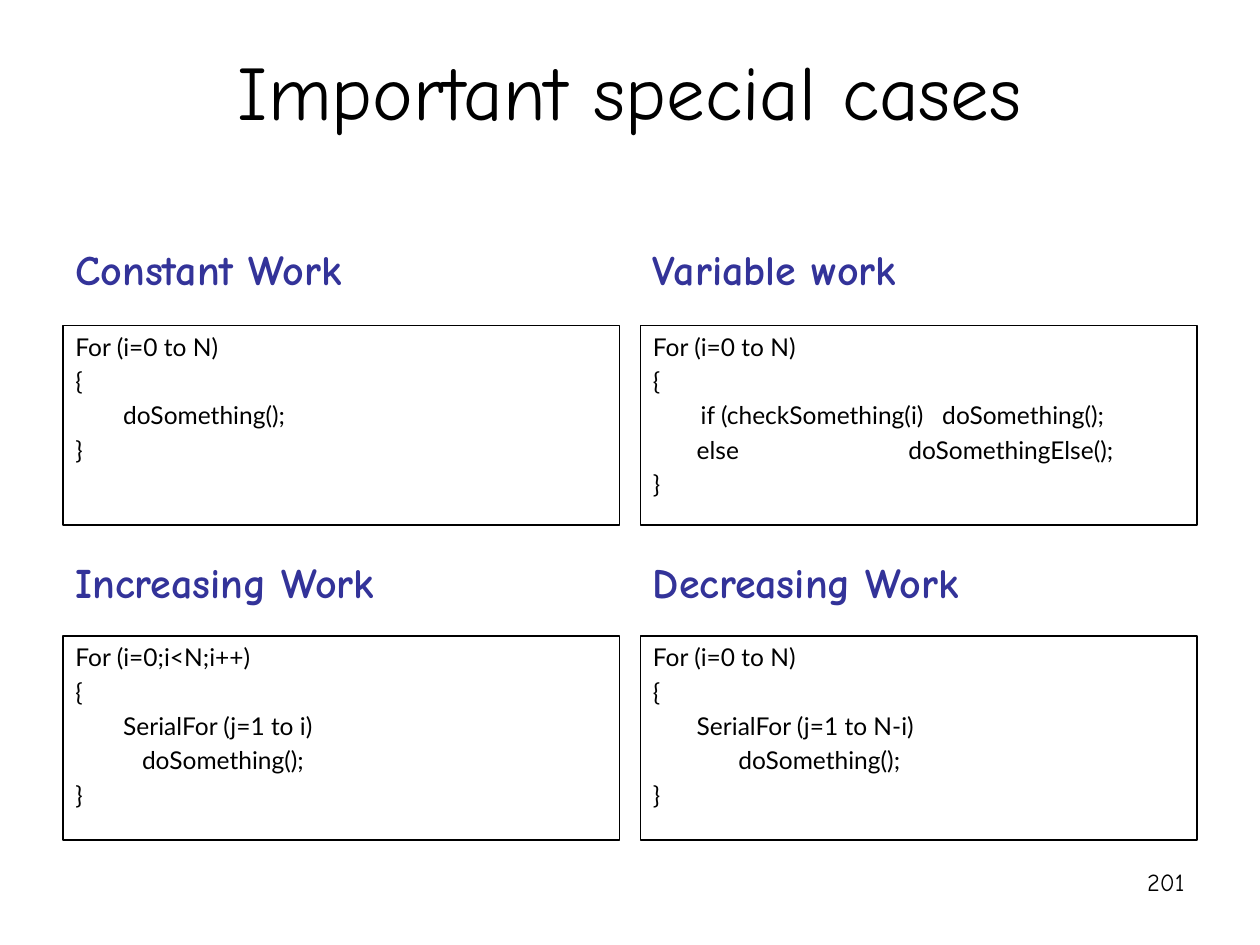
from dataclasses import dataclass

from pptx import Presentation
from pptx.dml.color import RGBColor
from pptx.enum.shapes import MSO_SHAPE
from pptx.enum.text import MSO_ANCHOR, MSO_AUTO_SIZE, PP_ALIGN
from pptx.util import Inches, Pt


@dataclass(frozen=True)
class Theme:
    ink: RGBColor = RGBColor(0, 0, 0)
    paper: RGBColor = RGBColor(255, 255, 255)
    accent: RGBColor = RGBColor(0x33, 0x33, 0x99)
    hand: str = "Comic Neue"
    sans: str = "Lato"
    big: int = 44
    mid: int = 24
    small: int = 14


class Deck:
    """Draws styled parts on a slide, on a grid of 120 columns by 90 rows."""

    def __init__(self, theme):
        self.theme = theme
        self.prs = Presentation()
        self.prs.slide_width, self.prs.slide_height = Inches(10), Inches(7.5)
        self.slide = self.prs.slides.add_slide(self.prs.slide_layouts[5])

    def box(self, col, row, wide, high):
        across, down = self.prs.slide_width / 120, self.prs.slide_height / 90
        return [round(n) for n in (col * across, row * down, wide * across, high * down)]

    def fill_text(self, shape, lines, size, font, color, bold=False,
                  align=PP_ALIGN.LEFT, anchor=MSO_ANCHOR.TOP):
        frame = shape.text_frame
        frame.word_wrap = True
        frame.auto_size = MSO_AUTO_SIZE.NONE
        frame.vertical_anchor = anchor
        frame.text = "\n".join(lines)
        for par in frame.paragraphs:
            par.alignment = align
            par.font.size, par.font.name = Pt(size), font
            par.font.bold, par.font.color.rgb = bold, color
        return frame

    def title(self, text, *cells):
        shape = self.slide.shapes.title
        shape.left, shape.top, shape.width, shape.height = self.box(*cells)
        self.fill_text(shape, [text], self.theme.big, self.theme.hand, self.theme.ink,
                       align=PP_ALIGN.CENTER, anchor=MSO_ANCHOR.MIDDLE)

    def label(self, text, *cells):
        shape = self.slide.shapes.add_textbox(*self.box(*cells))
        self.fill_text(shape, [text], self.theme.mid, self.theme.hand, self.theme.accent,
                       bold=True, anchor=MSO_ANCHOR.BOTTOM)

    def code(self, lines, *cells):
        shape = self.slide.shapes.add_shape(MSO_SHAPE.RECTANGLE, *self.box(*cells))
        shape.shadow.inherit = False
        shape.fill.solid()
        shape.fill.fore_color.rgb = self.theme.paper
        shape.line.color.rgb, shape.line.width = self.theme.ink, Pt(1)
        size = self.theme.small
        frame = self.fill_text(shape, lines, size, self.theme.sans, self.theme.ink)
        for step, par in enumerate(frame.paragraphs):
            par.space_before = Pt(0.2 * size if step else 0)
            props = par._p.get_or_add_pPr()
            props.set("marL", str(Inches(0.38)))
            props.set("indent", str(Inches(-0.38)))

    def number(self, text, *cells):
        shape = self.slide.shapes.add_textbox(*self.box(*cells))
        self.fill_text(shape, [text], self.theme.small, self.theme.hand, self.theme.ink,
                       align=PP_ALIGN.RIGHT)


LEFT, WIDE, STEP = 6, 53, 55
ROWS = [
    (20.2, 31, 19, [
        ("Constant Work", ["For (i=0 to N)", "{", "\tdoSomething();", "}"]),
        ("Variable work", [
            "For (i=0 to N)", "{",
            "\tif (checkSomething(i)   doSomething();",
            "       else                           doSomethingElse();", "}"]),
    ]),
    (50, 60.6, 19.4, [
        ("Increasing Work", [
            "For (i=0;i<N;i++)", "{", "\tSerialFor (j=1 to i)",
            " \t   doSomething();", "}"]),
        ("Decreasing Work", [
            "For (i=0 to N)", "{", "       SerialFor (j=1 to N-i)",
            "\t      doSomething();", "}"]),
    ]),
]


def main():
    deck = Deck(Theme())
    deck.title("Important special cases", LEFT, 1, 108, 15)
    for head, top, high, cases in ROWS:
        for side, (name, lines) in enumerate(cases):
            col = LEFT + side * STEP
            deck.label(name, col, head, WIDE, 8.4)
            deck.code(lines, col, top, WIDE, high)
    deck.number("201", 86, 82, 28, 6.2)
    deck.prs.save("out.pptx")


if __name__ == "__main__":
    main()
